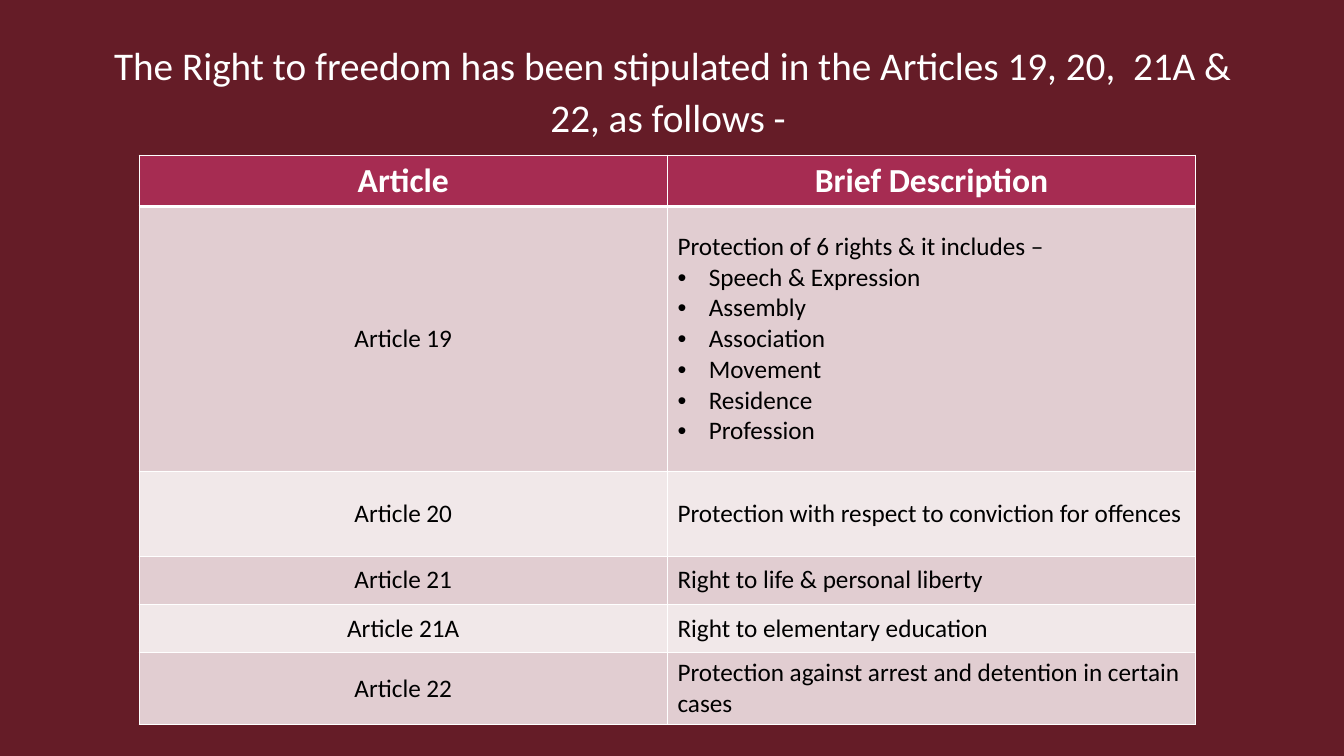
import pptx
import pptx.dml.color
import pptx.enum.text
import pptx.oxml
import pptx.oxml.ns
import pptx.util
from lxml import etree

Inches = pptx.util.Inches
Pt = pptx.util.Pt
RGBColor = pptx.dml.color.RGBColor
Align = pptx.enum.text.PP_ALIGN
Anchor = pptx.enum.text.MSO_ANCHOR
qn = pptx.oxml.ns.qn

MAROON = RGBColor(0x65, 0x1C, 0x27)
CRIMSON = RGBColor(0xA6, 0x2C, 0x52)
ROSE = RGBColor(0xE1, 0xCD, 0xD1)
BLUSH = RGBColor(0xF1, 0xE8, 0xE9)
WHITE = RGBColor(0xFF, 0xFF, 0xFF)
BLACK = RGBColor(0, 0, 0)

TITLE = "The Right to freedom has been stipulated in the Articles 19, 20,  21A & 22, as follows - "
HEADER = ("Article", ["Brief Description"])
ARTICLES = [
    ("Article 19", ["Protection of 6 rights & it includes –", "Speech & Expression", "Assembly",
                    "Association", "Movement", "Residence", "Profession"]),
    ("Article 20", ["Protection with respect to conviction for offences"]),
    ("Article 21", ["Right to life & personal liberty"]),
    ("Article 21A", ["Right to elementary education"]),
    ("Article 22", ["Protection against arrest and detention in certain cases"]),
]
ROW_HEIGHTS = [0.48, 2.63, 0.84, 0.48, 0.48, 0.48]


def write(para, text, size=18, color=BLACK, bold=False, align=Align.LEFT, font="Calibri", bullet=False):
    if bullet:
        props = para._p.get_or_add_pPr()
        props.set("marL", str(Inches(0.31)))
        props.set("indent", str(-Inches(0.31)))
        etree.SubElement(props, qn("a:buFont")).set("typeface", "Arial")
        etree.SubElement(props, qn("a:buChar")).set("char", "•")
    para.alignment = align
    span = para.add_run()
    span.text = text
    span.font.name = font
    span.font.size = Pt(size)
    span.font.bold = bold
    span.font.color.rgb = color


class SlideBuilder:
    def __init__(self, deck):
        self.page = deck.slides.add_slide(deck.slide_layouts[5])
        self.page.background.fill.solid()
        self.page.background.fill.fore_color.rgb = MAROON

    def title(self, text, left, top, width, height):
        box = self.page.shapes.title
        box.left, box.top = Inches(left), Inches(top)
        box.width, box.height = Inches(width), Inches(height)
        box.text_frame.word_wrap = True
        box.text_frame.vertical_anchor = Anchor.MIDDLE
        para = box.text_frame.paragraphs[0]
        para.line_spacing = 1.1
        write(para, text, size=28, color=WHITE, align=Align.CENTER)

    def borders(self, cell, **widths):
        props = cell._tc.get_or_add_tcPr()
        for side in "LRTB":
            line = etree.SubElement(props, qn(f"a:ln{side}"), w=str(Pt(widths.get(side, 1))))
            fill = etree.SubElement(line, qn("a:solidFill"))
            etree.SubElement(fill, qn("a:srgbClr"), val=str(WHITE))

    def cell(self, cell, lines, fill, anchor=Anchor.MIDDLE, edges=None, **style):
        self.borders(cell, **(edges or {}))
        cell.fill.solid()
        cell.fill.fore_color.rgb = fill
        cell.vertical_anchor = anchor
        frame = cell.text_frame
        for index, line in enumerate(lines):
            para = frame.add_paragraph() if index else frame.paragraphs[0]
            write(para, line, bullet=index > 0, **style)

    def table(self, header, records, heights, left, top, width):
        frame = self.page.shapes.add_table(len(heights), 2, Inches(left), Inches(top),
                                           Inches(width), Inches(sum(heights)))
        table = frame.table
        for row, height in zip(table.rows, heights):
            row.height = Inches(height)
        for column, text in enumerate((header[0], header[1][0])):
            self.cell(table.cell(0, column), [text], CRIMSON, anchor=Anchor.TOP, edges={"B": 3},
                      size=24, color=WHITE, bold=True, align=Align.CENTER)
        for row, (article, lines) in enumerate(records, 1):
            fill = ROSE if row % 2 else BLUSH
            edges = {"T": 3} if row == 1 else {}
            self.cell(table.cell(row, 0), [article], fill, edges=edges, align=Align.CENTER)
            self.cell(table.cell(row, 1), lines, fill, edges=edges)


def main():
    deck = pptx.Presentation()
    deck.slide_width, deck.slide_height = Inches(13.33), Inches(7.5)
    slide = SlideBuilder(deck)
    slide.title(TITLE, 0.92, 0.27, 11.5, 1.21)
    slide.table(HEADER, ARTICLES, ROW_HEIGHTS, 1.38, 1.54, 10.48)
    deck.save("out.pptx")


if __name__ == "__main__":
    main()
